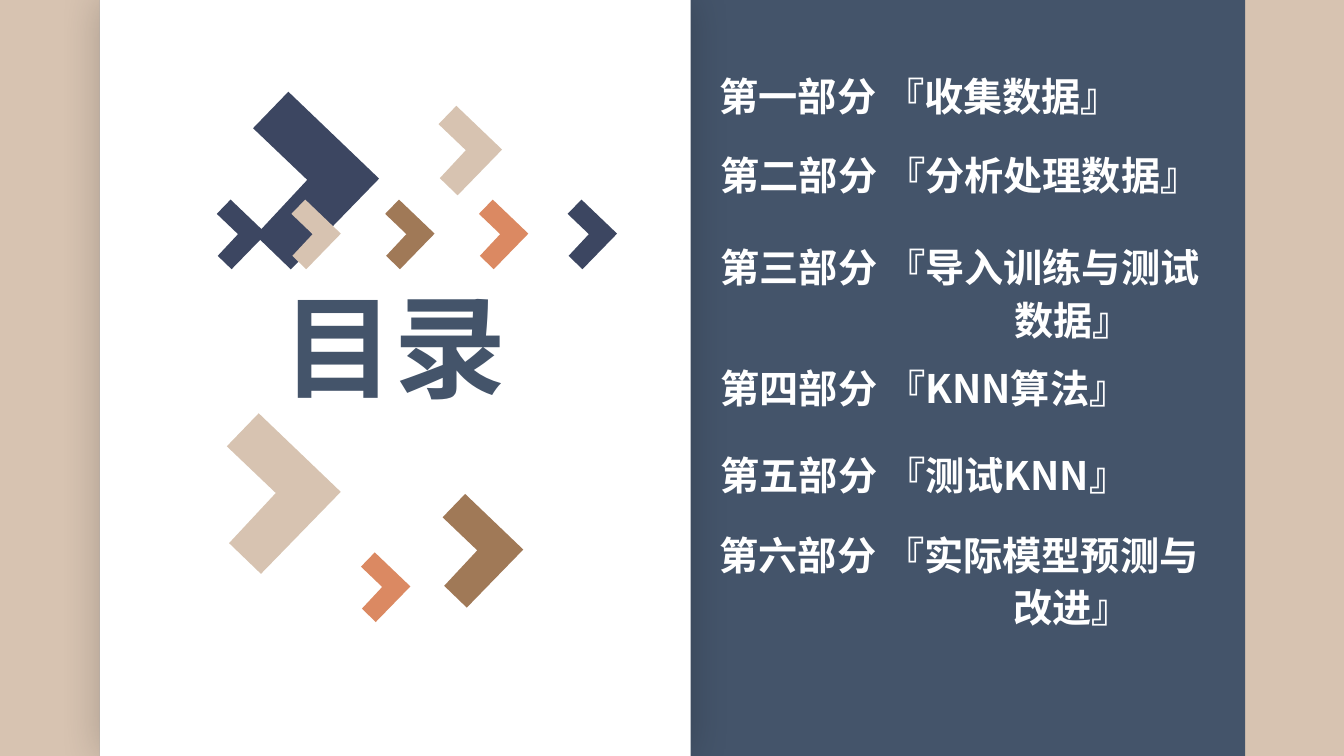
from lxml.etree import SubElement
from pptx import Presentation
from pptx.dml.color import RGBColor
from pptx.enum.shapes import MSO_SHAPE
from pptx.enum.text import PP_ALIGN
from pptx.oxml.ns import qn
from pptx.util import Inches, Pt

FONT = "Noto Sans CJK SC"
COLORS = {
    "sand": "D7C3B1",
    "slate": "44546A",
    "white": "FFFFFF",
    "navy": "3C4661",
    "brown": "A07957",
    "coral": "DB8962",
}
CHEVRON = [(0.3, 1.41), (0.02, 1.14), (0.43, 0.7), (0, 0.29), (0.28, 0), (1, 0.69)]
SMALL = 0.49
CHEVRONS = [
    (4.35, 1.05, 0.63, "sand"),
    (2.51, 0.91, 1.25, "navy"),
    (2.89, 1.98, SMALL, "sand"),
    (2.15, 1.98, SMALL, "navy"),
    (3.82, 1.98, SMALL, "brown"),
    (4.75, 1.98, SMALL, "coral"),
    (5.63, 1.98, SMALL, "navy"),
    (2.25, 4.1, 1.13, "sand"),
    (4.39, 4.9, 0.8, "brown"),
    (3.58, 5.48, SMALL, "coral"),
]
CONTENTS = [
    (7.04, 0.72, 0.54, ["第一部分 『收集数据』"]),
    (7.05, 1.5, 0.7, ["第二部分 『分析处理数据』"]),
    (7.05, 2.42, 1.2, ["第三部分 『导入训练与测试", "数据』"]),
    (7.05, 3.62, 0.63, ["第四部分 『KNN算法』"]),
    (7.05, 4.48, 0.57, ["第五部分 『测试KNN』"]),
    (7.04, 5.27, 1.18, ["第六部分 『实际模型预测与", "改进』"]),
]


def rgb(name):
    return RGBColor.from_string(COLORS[name])


def paint(shape, color):
    shape.shadow.inherit = False
    shape.fill.solid()
    shape.fill.fore_color.rgb = rgb(color)
    shape.line.fill.background()


def add_panel(s, left, width, color):
    panel = s.shapes.add_shape(
        MSO_SHAPE.RECTANGLE, Inches(left), 0, Inches(width), Inches(7.5))
    paint(panel, color)
    return panel


def add_glow(shape, blur, alpha):
    effects = shape._element.spPr.find(qn("a:effectLst"))
    shadow = SubElement(effects, qn("a:outerShdw"), blurRad=str(Pt(blur)),
                        dist="0", dir="0", algn="ctr", rotWithShape="0")
    color = SubElement(shadow, qn("a:srgbClr"), val="000000")
    SubElement(color, qn("a:alpha"), val=str(alpha * 1000))


def add_chevron(s, left, top, size, color):
    points = [(Inches(left + x * size), Inches(top + y * size)) for x, y in CHEVRON]
    builder = s.shapes.build_freeform(*points[0])
    builder.add_line_segments(points[1:], close=True)
    paint(builder.convert_to_shape(), color)


def add_text(s, left, top, width, height, lines, size, color, align=PP_ALIGN.LEFT):
    box = s.shapes.add_textbox(
        Inches(left), Inches(top), Inches(width), Inches(height))
    tf = box.text_frame
    tf.word_wrap = True
    for i, line in enumerate(lines):
        p = tf.paragraphs[0] if i == 0 else tf.add_paragraph()
        p.alignment = align
        p.line_spacing = 0.9
        if i:
            p.space_before = Pt(7.5)
            p._p.get_or_add_pPr().set("marL", str(Inches(2.91)))
        r = p.add_run()
        r.text = line
        r.font.size = Pt(size)
        r.font.bold = True
        r.font.name = FONT
        r.font.color.rgb = rgb(color)
        SubElement(r._r.get_or_add_rPr(), qn("a:ea"), typeface=FONT)


def main():
    prs = Presentation()
    prs.slide_width = Inches(13.33)
    prs.slide_height = Inches(7.5)
    s = prs.slides.add_slide(prs.slide_layouts[6])
    s.background.fill.solid()
    s.background.fill.fore_color.rgb = rgb("sand")

    add_panel(s, 0.99, 11.36, "slate")
    add_glow(add_panel(s, 0.99, 5.86, "white"), 30, 20)
    add_text(s, 2.42, 2.86, 2.99, 1.52, ["目录"], 80, "slate", PP_ALIGN.CENTER)
    for chevron in CHEVRONS:
        add_chevron(s, *chevron)
    for left, top, height, lines in CONTENTS:
        add_text(s, left, top, 5.2, height, lines, 28, "white")
    prs.save("out.pptx")


if __name__ == "__main__":
    main()
